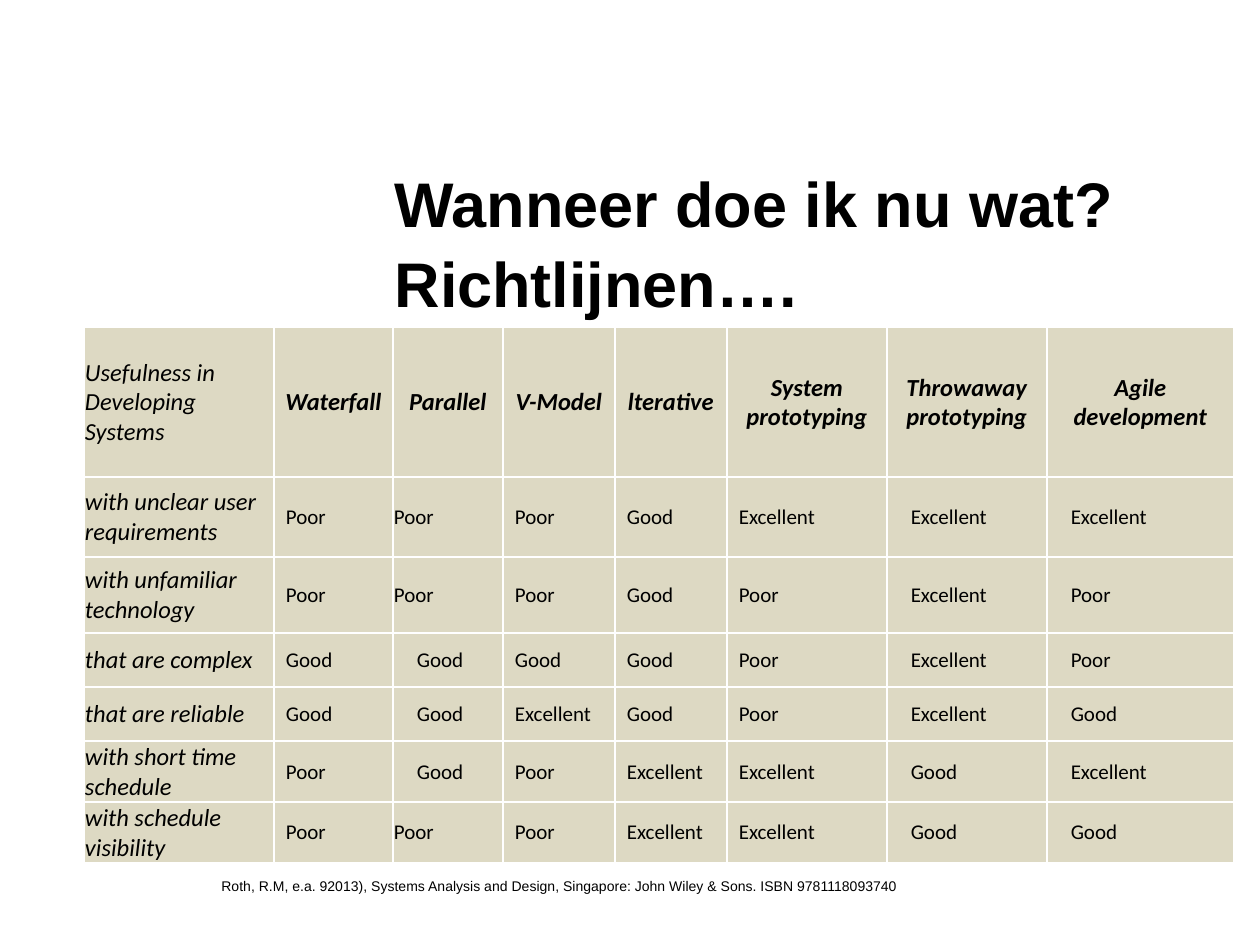
from typing import NamedTuple

from lxml.etree import SubElement
from pptx import Presentation
from pptx.dml.color import RGBColor
from pptx.enum.text import MSO_ANCHOR, MSO_AUTO_SIZE, PP_ALIGN
from pptx.oxml.ns import qn
from pptx.util import Pt

PX = 914400 // 126
INK, SAND, WHITE = "000000", "DDD9C3", "FFFFFF"
WIDTHS = [190, 119, 110, 112, 112, 160, 160, 187]
INSETS = [1, 12, 24, 12, 12, 12, 24, 24]
HEADS = ["Usefulness in Developing Systems", "Waterfall", "Parallel", "V-Model",
         "lterative", "System prototyping", "Throwaway prototyping",
         "Agile development"]
MARKS = {"P": "Poor", "G": "Good", "E": "Excellent"}


class Row(NamedTuple):
    label: str
    marks: str
    height: int


ROWS = [
    Row("with unclear user requirements", "PPPGEEE", 80),
    Row("with unfamiliar technology", "PPPGPEP", 76),
    Row("that are complex", "GGGGPEP", 54),
    Row("that are reliable", "GGEGPEG", 54),
    Row("with short time schedule", "PGPEEGE", 61),
    Row("with schedule visibility", "PPPEEGG", 61),
]


def px(size: int) -> int:
    return size * PX


def color(code: str) -> RGBColor:
    return RGBColor.from_string(code)


def write(frame, text: str, *, size: int, face: str = "Calibri", bold: bool = False,
          italic: bool = False, align=PP_ALIGN.LEFT, lead: float | None = None) -> None:
    para = frame.paragraphs[0]
    para.alignment = align
    para.line_spacing = lead
    run = para.add_run()
    run.text = text
    font = run.font
    font.name, font.size = face, Pt(size)
    font.bold, font.italic = bold, italic
    font.color.rgb = color(INK)


def rule(cell) -> None:
    """Draw a thin white border on all sides, placed before the cell fill."""
    props = cell._tc.get_or_add_tcPr()
    for side in ("lnL", "lnR", "lnT", "lnB"):
        line = SubElement(props, qn(f"a:{side}"), w=str(Pt(1)))
        fill = SubElement(line, qn("a:solidFill"))
        SubElement(fill, qn("a:srgbClr"), val=WHITE)


def style(cell, text: str, inset: int = 1, **form) -> None:
    rule(cell)
    cell.fill.solid()
    cell.fill.fore_color.rgb = color(SAND)
    cell.vertical_anchor = MSO_ANCHOR.MIDDLE
    cell.margin_left = px(inset)
    cell.margin_right = cell.margin_top = px(1)
    cell.margin_bottom = 0
    write(cell.text_frame, text, **form)


def add_title(slide) -> None:
    title = slide.shapes.title
    title.left, title.top, title.width, title.height = map(px, (382, 151, 840, 90))
    frame = title.text_frame
    frame.word_wrap = True
    frame.auto_size = MSO_AUTO_SIZE.NONE
    frame.vertical_anchor = MSO_ANCHOR.TOP
    frame.margin_top = px(10)
    write(frame, "Wanneer doe ik nu wat? Richtlijnen….", size=36, face="Arial",
          bold=True, lead=1.05)


def add_grid(slide) -> None:
    heights = [150] + [row.height for row in ROWS]
    table = slide.shapes.add_table(
        len(heights), len(WIDTHS), px(84), px(327),
        px(sum(WIDTHS)), px(sum(heights))).table
    for column, width in zip(table.columns, WIDTHS):
        column.width = px(width)
    for line, height in zip(table.rows, heights):
        line.height = px(height)
    for col, head in enumerate(HEADS):
        style(table.cell(0, col), head, size=14, italic=True, bold=col > 0,
              align=PP_ALIGN.CENTER if col else PP_ALIGN.LEFT)
    for index, row in enumerate(ROWS, 1):
        style(table.cell(index, 0), row.label, size=14, italic=True)
        for col, mark in enumerate(row.marks, 1):
            flush = col == 2 and mark == "P"
            style(table.cell(index, col), MARKS[mark],
                  1 if flush else INSETS[col], size=12)


def add_source(slide) -> None:
    box = slide.shapes.add_textbox(*map(px, (209, 871, 711, 30)))
    frame = box.text_frame
    frame.word_wrap = False
    frame.auto_size = MSO_AUTO_SIZE.SHAPE_TO_FIT_TEXT
    write(frame, "Roth, R.M, e.a. 92013), Systems Analysis and Design, Singapore: "
          "John Wiley & Sons. ISBN 9781118093740", size=8, face="Arial")


def main() -> None:
    deck = Presentation()
    deck.slide_width, deck.slide_height = px(1260), px(945)
    slide = deck.slides.add_slide(deck.slide_layouts[5])
    add_title(slide)
    add_grid(slide)
    add_source(slide)
    deck.save("out.pptx")


if __name__ == "__main__":
    main()
